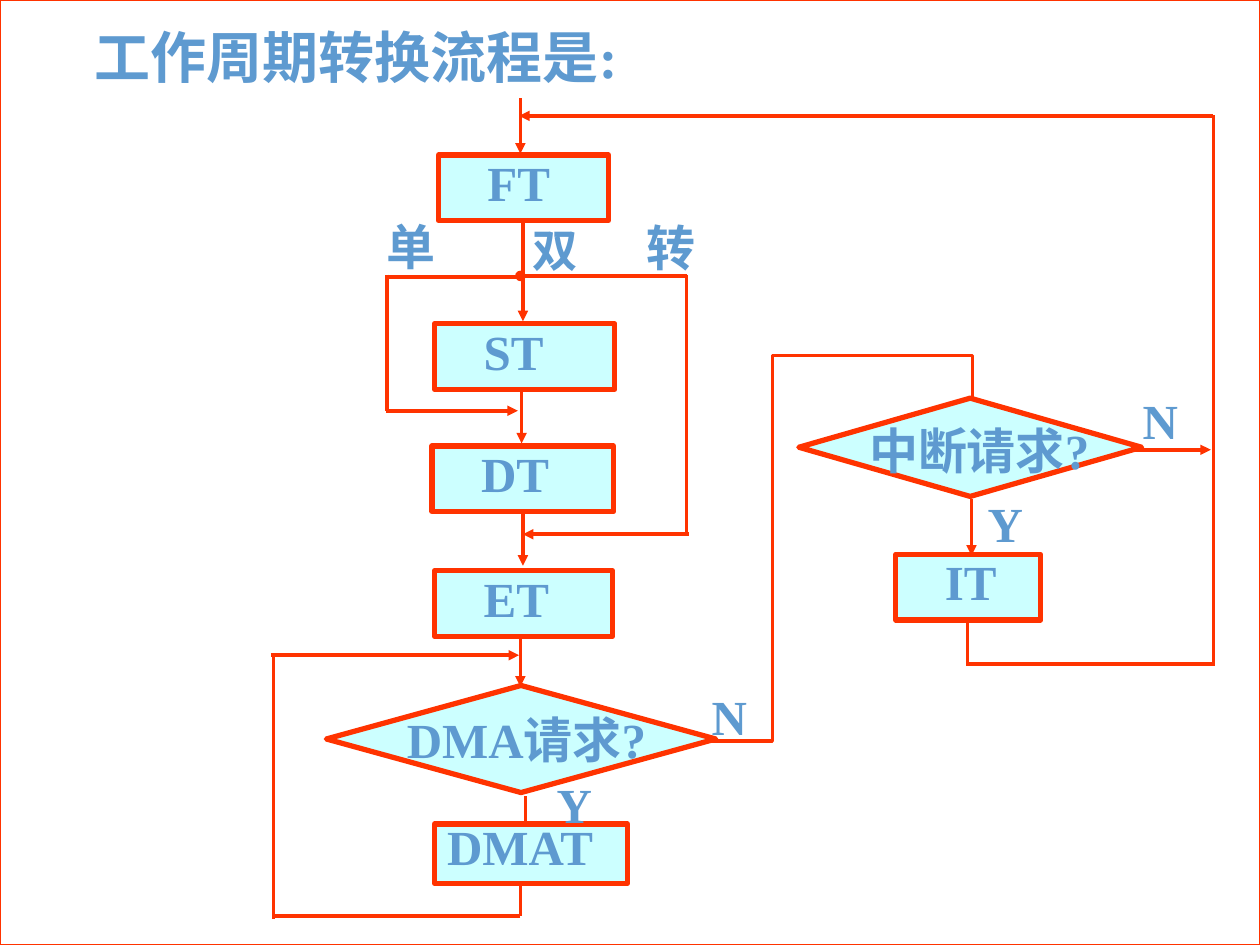
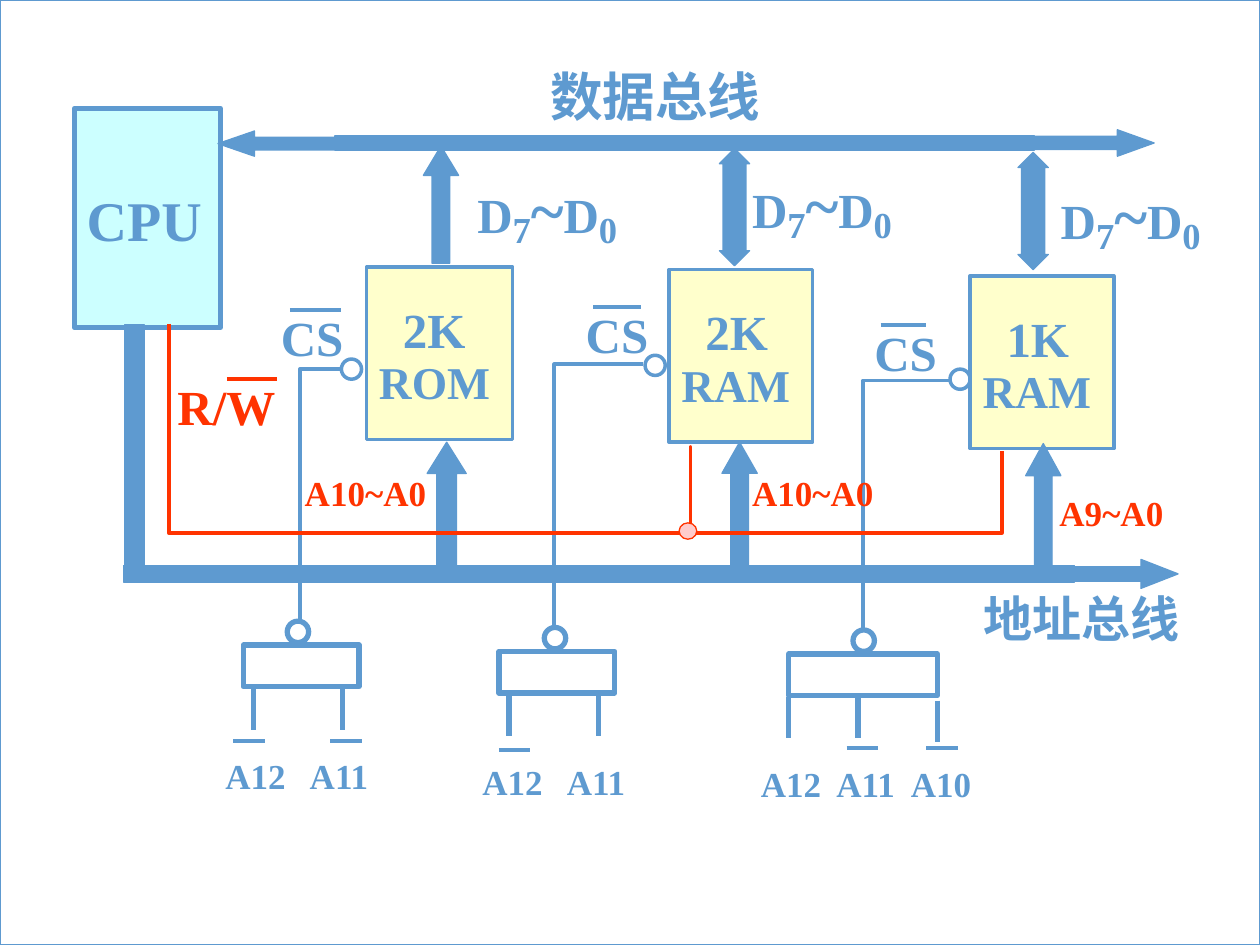
from lxml.etree import SubElement
from pptx import Presentation
from pptx.dml.color import RGBColor
from pptx.enum.shapes import MSO_CONNECTOR, MSO_SHAPE
from pptx.enum.text import MSO_ANCHOR
from pptx.oxml.ns import qn
from pptx.util import Inches, Pt

COLOURS = {
    "white": "FFFFFF",
    "blue": "5E9AD0",
    "red": "FF3300",
    "cyan": "CCFFFF",
    "cream": "FFFFCC",
    "pink": "FFCCCC",
}
FONT = "Times New Roman"
COLUMNS, ROWS = 100, 75

deck = Presentation()
deck.slide_width, deck.slide_height = Inches(10), Inches(7.5)
column = deck.slide_width / COLUMNS
row = deck.slide_height / ROWS


def place(page, kind, area, fill=None, line=None, weight=0.75, lines=(), ink="blue", adjust=()):
    left, top, width, height = area
    frame = [round(n) for n in (left * column, top * row, width * column, height * row)]
    if kind is None:
        box = page.shapes.add_textbox(*frame)
    else:
        box = page.shapes.add_shape(kind, *frame)
        box.shadow.inherit = False
        for number, value in enumerate(adjust):
            box.adjustments[number] = value
        if fill:
            box.fill.solid()
            box.fill.fore_color.rgb = RGBColor.from_string(COLOURS[fill])
        else:
            box.fill.background()
        box.line.color.rgb = RGBColor.from_string(COLOURS[line])
        box.line.width = Pt(weight)
    text = box.text_frame
    text.word_wrap = True
    text.vertical_anchor = MSO_ANCHOR.TOP
    text.margin_top = Inches(0.07)
    for number, (words, size, indent, spacing, stops) in enumerate(lines):
        para = text.add_paragraph() if number else text.paragraphs[0]
        para.text = words
        para.alignment = 1
        para.line_spacing = spacing
        properties = para._p.get_or_add_pPr()
        properties.set("marL", str(round(indent * column)))
        if stops:
            tabs = SubElement(properties, qn("a:tabLst"))
            for stop in stops:
                SubElement(tabs, qn("a:tab"), pos=str(round(stop * column)), algn="l")
        para.font.name = FONT
        para.font.size = Pt(size)
        para.font.bold = True
        para.font.color.rgb = RGBColor.from_string(COLOURS[ink])
    return box


def wire(page, points, colour, weight, head=None, tail=None):
    spots = [(round(x * column), round(y * row)) for x, y in points]
    if len(spots) == 2:
        line = page.shapes.add_connector(MSO_CONNECTOR.STRAIGHT, *spots[0], *spots[1])
        SubElement(line._element.spPr, qn("a:effectLst"))
    else:
        builder = page.shapes.build_freeform(*spots[0])
        builder.add_line_segments(spots[1:], close=False)
        line = builder.convert_to_shape()
        line.fill.background()
        line.shadow.inherit = False
    line.line.color.rgb = RGBColor.from_string(COLOURS[colour])
    line.line.width = Pt(weight)
    for end, style in (("a:headEnd", head), ("a:tailEnd", tail)):
        if style:
            SubElement(line.line._get_or_add_ln(), qn(end), type=style)


pages = []
for border in ("red", "blue"):
    page = deck.slides.add_slide(deck.slide_layouts[6])
    place(page, MSO_SHAPE.RECTANGLE, (0, 0, COLUMNS, ROWS), "white", border)
    pages.append(page)
flow, memory = pages

place(flow, None, (6.5, 1.1, 53.8, 6.3), lines=[("工作周期转换流程是:", 32, 0, 1, ())])

for words, area, indent, spacing in (
    ("FT", (34.8, 12.3, 13.5, 5.2), 2.9, 0.8),
    ("ST", (34.5, 25.7, 14.3, 5.2), 2.9, 0.8),
    ("DT", (34.3, 35.4, 14.4, 5.2), 2.9, 0.8),
    ("ET", (34.5, 45.3, 14.1, 5.2), 2.9, 0.8),
    ("DMAT", (34.5, 65.4, 15.3, 4.7), 0, 0.7),
    ("IT", (71.1, 44, 11.5, 5.2), 2.9, 0.8),
):
    place(flow, MSO_SHAPE.RECTANGLE, area, "cyan", "red", 3,
          [(words, 28, indent, spacing, ())])

for words, diamond, label in (
    ("DMA请求?", (25.9, 54.4, 30.9, 8.5), (31.3, 55.6, 25.1, 5.7)),
    ("中断请求?", (63.4, 31.6, 27.2, 7.8), (68, 32.7, 20.7, 5.7)),
):
    place(flow, MSO_SHAPE.FLOWCHART_DECISION, diamond, "cyan", "red", 3)
    place(flow, None, label, lines=[(words, 28, 0, 1, ())])

for start, finish, head, tail in (
    ((41.3, 7.8), (41.3, 12.2), None, "triangle"),
    ((41.5, 17.5), (41.5, 25.5), None, "triangle"),
    ((41.4, 30.9), (41.4, 35.2), None, "triangle"),
    ((41.5, 40.5), (41.5, 44.9), None, "triangle"),
    ((41.3, 50.5), (41.3, 54.5), None, "triangle"),
    ((41.7, 63.2), (41.7, 65.2), None, None),
    ((77.1, 39.6), (77.1, 44.1), None, "triangle"),
    ((41.3, 21.9), (54.5, 21.9), "oval", None),
    ((54.5, 21.8), (54.5, 42.2), None, None),
    ((41.5, 42.4), (54.7, 42.4), "triangle", None),
    ((30.6, 22), (41.4, 22), None, None),
    ((30.7, 21.8), (30.7, 32.6), None, None),
    ((30.6, 32.6), (41.1, 32.6), None, "triangle"),
    ((76.8, 49), (76.8, 52.7), None, None),
    ((76.7, 52.7), (96.4, 52.7), None, None),
    ((96.3, 52.6), (96.3, 9.1), None, None),
    ((96.3, 9.2), (41.2, 9.2), None, "triangle"),
    ((89.6, 35.7), (96.1, 35.7), None, "triangle"),
    ((41.3, 70.2), (41.3, 72.7), None, None),
    ((41.3, 72.7), (21.7, 72.7), None, None),
    ((21.7, 72.9), (21.7, 52), None, None),
    ((21.5, 52), (41.2, 52), None, "triangle"),
):
    wire(flow, (start, finish), "red", 2, head, tail)
wire(flow, ((56.2, 58.8), (61.3, 58.8), (61.3, 28.2), (77.2, 28.2), (77.2, 31.7)), "red", 2)

for words, size, left, top, width in (
    ("单", 28, 29.7, 16.5, 9.3),
    ("双", 26, 41.3, 16.9, 6),
    ("转", 28, 50.3, 16.6, 8),
    ("N", 28, 55.5, 53.8, 7.5),
    ("Y", 28, 43.2, 60.8, 7.5),
    ("N", 28, 89.7, 30.3, 7.5),
    ("Y", 28, 77.4, 38.5, 7.5),
):
    place(flow, None, (left, top, width, 5.7), lines=[(words, size, 0, 1, ())])

processor = place(memory, MSO_SHAPE.RECTANGLE, (5.9, 8.6, 11.6, 17.4), "cyan", "blue", 3,
                  [("CPU", 32, 0, 1, ())])
processor.text_frame.vertical_anchor = MSO_ANCHOR.MIDDLE
place(memory, None, (77.1, 46, 18.1, 5.7), lines=[("地址总线", 28, 0, 1, ())])
place(memory, None, (42.7, 4.4, 19, 6), lines=[("数据总线", 30, 0, 1, ())])

for capacity, kind, left, top, width in (
    ("2K", "ROM", 29.1, 21.2, 11.6),
    ("2K", "RAM", 53.1, 21.4, 11.4),
    ("1K", "RAM", 77, 21.9, 11.4),
):
    place(memory, MSO_SHAPE.RECTANGLE, (left, top, width, 13.7), "cream", "blue", 2,
          [(capacity, 28, 1.9, 1.4, ()), (kind, 26, 0, 0.95, ())])

for kind, area, adjust in (
    (MSO_SHAPE.UP_ARROW, (33.6, 11.6, 2.8, 9.3), (0.5, 0.83)),
    (MSO_SHAPE.RIGHT_ARROW, (79.9, 10.3, 11.7, 2.1), (0.5, 1.39)),
    (MSO_SHAPE.RECTANGLE, (26.6, 10.8, 55.5, 1.1), ()),
    (MSO_SHAPE.LEFT_ARROW, (17.3, 10.4, 11.7, 2), (0.5, 1.45)),
    (MSO_SHAPE.UP_DOWN_ARROW, (57.1, 11.8, 2.4, 9.3), (0.5, 0.76)),
    (MSO_SHAPE.UP_DOWN_ARROW, (80.8, 12.1, 2.4, 9.3), (0.5, 0.76)),
    (MSO_SHAPE.RECTANGLE, (9.9, 25.8, 1.6, 19.6), ()),
    (MSO_SHAPE.UP_ARROW, (33.9, 35.1, 3.1, 10), (0.5, 0.8)),
    (MSO_SHAPE.UP_ARROW, (81.4, 35.2, 2.8, 10.2), (0.5, 0.91)),
    (MSO_SHAPE.UP_ARROW, (57.3, 35.1, 2.8, 9.8), (0.5, 0.88)),
    (MSO_SHAPE.RIGHT_ARROW, (81.8, 44.4, 11.7, 2.3), (0.5, 1.28)),
    (MSO_SHAPE.RECTANGLE, (9.8, 44.9, 75.5, 1.3), ()),
):
    place(memory, kind, area, "blue", "blue", adjust=adjust)

for left, top in ((36.9, 12.8), (58.7, 12.4), (83.2, 13.3)):
    label = place(memory, None, (left, top, 16.1, 7), lines=[("", 28, 0, 1, ())])
    para = label.text_frame.paragraphs[0]
    for words, size, baseline in (("D", 28, 0), ("7", 36, -16000), ("~", 36, 0),
                                  ("D", 28, 0), ("0", 36, -16000)):
        span = para.add_run()
        span.text = words
        span.font.size = Pt(size)
        if baseline:
            span._r.get_or_add_rPr().set("baseline", str(baseline))

for ring, path, label, bar in (
    ((27.1, 28.5), ((23.8, 49.5), (23.8, 29.3), (27, 29.3)), (21.3, 23.7), (23, 27.1)),
    ((51.2, 28.2), ((44, 49.8), (44, 28.9), (51, 28.9)), (45.5, 23.5), (47.1, 50.9)),
    ((75.4, 29.3), ((68.5, 49.9), (68.5, 30.2), (75.3, 30.2)), (68.4, 24.9), (69.9, 73.5)),
):
    place(memory, MSO_SHAPE.OVAL, (*ring, 1.6, 1.6), None, "blue", 2)
    wire(memory, path, "blue", 2.25)
    place(memory, None, (*label, 9.5, 5.7), lines=[("CS", 28, 0, 1, ())])
    wire(memory, [(x, label[1] + 0.9) for x in bar], "blue", 2.25)

wire(memory, ((13.4, 25.7), (13.4, 42.3), (54.8, 42.3), (54.8, 35.5), (54.8, 42.3),
              (79.5, 42.3), (79.5, 35.8)), "red", 2.25)
place(memory, MSO_SHAPE.OVAL, (53.9, 41.5, 1.4, 1.3), "pink", "red")
control = place(memory, None, (13.1, 29.2, 9.8, 5.7), lines=[("R/W", 28, 0, 1, ())], ink="red")
control.text_frame.word_wrap = False
wire(memory, ((18, 30.1), (22, 30.1)), "red", 2.25)

for words, left, top in (("A10~A0", 23.2, 36.7), ("A10~A0", 58.7, 36.7), ("A9~A0", 83.1, 38.3)):
    place(memory, None, (left, top, 11.8, 4.3), lines=[(words, 20, 0, 1, ())], ink="red")

for left, top, width, ring, legs, words, label, stops, bars, bar_top in (
    (19.3, 51.2, 9.2, 22.8, ((20.1, 3.4), (27.2, 3.4)),
     "A12\tA11", (16.9, 15), (6.7,), (18.5, 26.2), 58.8),
    (39.6, 51.7, 9.2, 43.2, ((40.4, 3.4), (47.5, 3.4)),
     "A12\tA11", (37.3, 15), (6.7,), (39.6,), 59.5),
    (62.6, 51.9, 11.8, 67.7, ((62.6, 3.4), (68.1, 3.4), (74.4, 3.7)),
     "A12\tA11\tA10", (59.4, 20.5), (6, 11.9), (67.2, 73.5), 59.4),
):
    place(memory, MSO_SHAPE.RECTANGLE, (left, top, width, 3.3), None, "blue", 3)
    place(memory, MSO_SHAPE.OVAL, (ring, top - 1.9, 1.7, 1.7), None, "blue", 3)
    for x, drop in legs:
        wire(memory, ((x, top + drop), (x, top + drop + 3.3)), "blue", 3)
    place(memory, None, (label[0], top + 7.95, label[1], 4.3),
          lines=[(words, 20, 0, 1, stops)])
    for x in bars:
        wire(memory, ((x, bar_top), (x + 2.5, bar_top)), "blue", 2.25)

deck.save("out.pptx")
